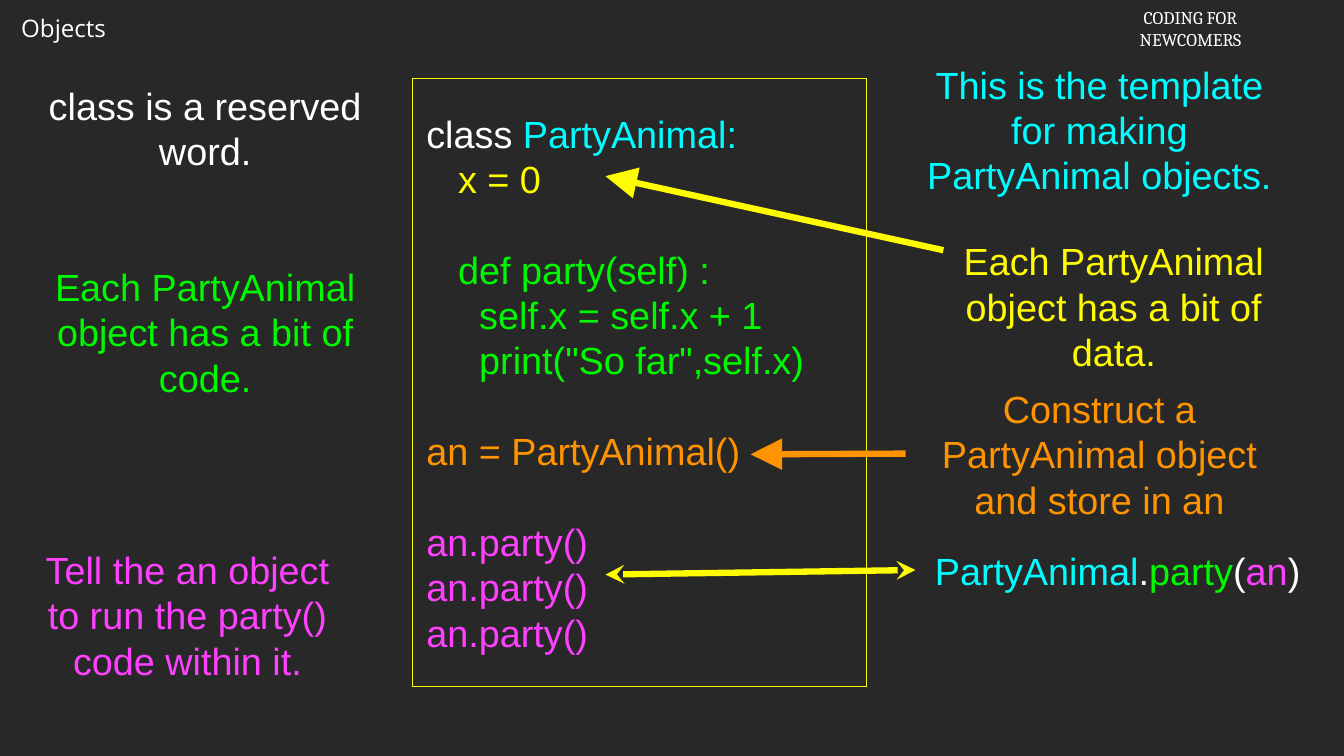
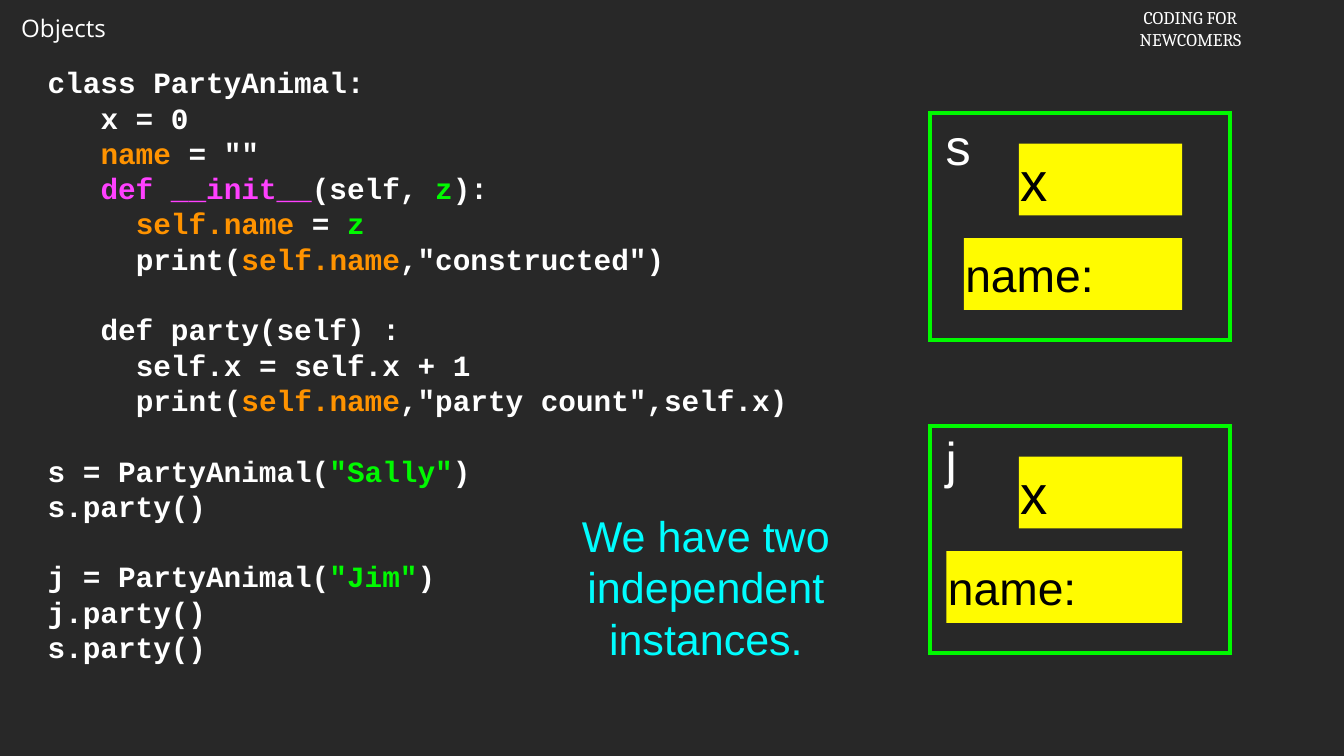
from lxml.etree import SubElement
from pptx import Presentation
from pptx.dml.color import RGBColor
from pptx.enum.shapes import MSO_CONNECTOR, MSO_SHAPE
from pptx.enum.text import MSO_ANCHOR, MSO_AUTO_SIZE, PP_ALIGN
from pptx.oxml.ns import qn
from pptx.util import Inches, Pt

BACKGROUND = "282828"
WHITE = "FFFFFF"
BLACK = "000000"
CYAN = "00FDFF"
YELLOW = "FFFB00"
GREEN = "00F900"
ORANGE = "FF9300"
MAGENTA = "FF40FF"

# Each code line is (indent in characters, (text, colour), ...); BLANK leaves a gap.
BLANK = ()
BLANK_HEIGHT = 1.2
TEMPLATE_CODE = [
    (1, ("class ", WHITE), ("PartyAnimal:", CYAN)),
    (4, ("x = 0", YELLOW)),
    BLANK,
    (4, ("def party(self) :", GREEN)),
    (6, ("self.x = self.x + 1", GREEN)),
    (6, ('print("So far",self.x)', GREEN)),
    BLANK,
    (1, ("an = PartyAnimal()", ORANGE)),
    BLANK,
    (1, ("an.party()", MAGENTA)),
    (1, ("an.party()", MAGENTA)),
    (1, ("an.party()", MAGENTA)),
]
CONSTRUCTOR_CODE = [
    (0, ("class PartyAnimal:", WHITE)),
    (3, ("x = 0", WHITE)),
    (3, ("name", ORANGE), (' = ""', WHITE)),
    (3, ("def __init__", MAGENTA), ("(self, ", WHITE), ("z", GREEN), ("):", WHITE)),
    (5, ("self.name", ORANGE), (" = ", WHITE), ("z", GREEN)),
    (5, ("print(", WHITE), ("self.name", ORANGE), (',"constructed")', WHITE)),
    BLANK,
    (3, ("def party(self) :", WHITE)),
    (5, ("self.x = self.x + 1", WHITE)),
    (5, ("print(", WHITE), ("self.name", ORANGE), (',"party count",self.x)', WHITE)),
    BLANK,
    (0, ("s = PartyAnimal(", WHITE), ('"Sally"', GREEN), (")", WHITE)),
    (0, ("s.party()", WHITE)),
    BLANK,
    (0, ("j = PartyAnimal(", WHITE), ('"Jim"', GREEN), (")", WHITE)),
    (0, ("j.party()", WHITE)),
    (0, ("s.party()", WHITE)),
]
NOTES = [
    ((11.98, 0.7, 5.13, 2.02), "This is the template for making PartyAnimal objects.", CYAN),
    ((0.15, 1.04, 5.13, 1.3), "class is a reserved word.", WHITE),
    ((12.17, 3.1, 5.13, 1.9), "Each PartyAnimal object has a bit of data.", YELLOW),
    ((0.15, 3.44, 5.13, 1.9), "Each PartyAnimal object has a bit of code.", GREEN),
    ((11.98, 5.13, 5.13, 1.74), "Construct a PartyAnimal object and store in an", ORANGE),
    ((0.49, 7.18, 3.98, 1.9), "Tell the an object to run the party() code within it.", MAGENTA),
]


def color(hex_string):
    return RGBColor.from_string(hex_string)


def inches(box):
    return [Inches(length) for length in box]


def set_frame(shape, inset, anchor=MSO_ANCHOR.MIDDLE):
    frame = shape.text_frame
    frame.word_wrap = True
    frame.auto_size = MSO_AUTO_SIZE.NONE
    frame.vertical_anchor = anchor
    frame.margin_left = frame.margin_right = Inches(inset)
    frame.margin_top = frame.margin_bottom = Inches(inset)
    return frame


def add_spans(paragraph, spans, size, font="Arial", bold=False):
    for text, hex_string in spans:
        run = paragraph.add_run()
        run.text = text
        run.font.name = font
        run.font.size = Pt(size)
        run.font.bold = bold
        run.font.color.rgb = color(hex_string)


def set_indent(paragraph, width):
    properties = paragraph._p.get_or_add_pPr()
    properties.set("marL", str(Inches(width)))
    properties.set("indent", "0")


def write_code(shape, lines, size, font, character_width, bold=False):
    """Fill a shape with coloured code; character_width is a share of the font size."""
    frame = set_frame(shape, 0.04)
    paragraph = frame.paragraphs[0]
    gap = False
    for number, line in enumerate(lines):
        if line == BLANK:
            gap = True
            continue
        if number:
            paragraph = frame.add_paragraph()
        indent, *spans = line
        paragraph.alignment = PP_ALIGN.LEFT
        set_indent(paragraph, indent * character_width * size / 72)
        if gap:
            paragraph.space_before = Pt(size * BLANK_HEIGHT)
        add_spans(paragraph, spans, size, font, bold)
        gap = False


def add_note(slide, box, spans, size=36):
    note = slide.shapes.add_textbox(*inches(box))
    paragraph = set_frame(note, 0.04).paragraphs[0]
    paragraph.alignment = PP_ALIGN.CENTER
    add_spans(paragraph, spans, size)


def add_box(shapes, box, fill=None, line=None, line_width=1):
    shape = shapes.add_shape(MSO_SHAPE.RECTANGLE, *inches(box))
    shape.shadow.inherit = False
    if fill:
        shape.fill.solid()
        shape.fill.fore_color.rgb = color(fill)
    else:
        shape.fill.background()
    if line:
        shape.line.color.rgb = color(line)
        shape.line.width = Pt(line_width)
        SubElement(shape._element.spPr.find(qn("a:ln")), qn("a:miter"), lim="800000")
    else:
        shape.line.fill.background()
    return shape


def add_arrow(slide, start, end, hex_string, head, tail="none", head_size="med"):
    arrow = slide.shapes.add_connector(MSO_CONNECTOR.STRAIGHT, *inches(start + end))
    arrow.line.color.rgb = color(hex_string)
    arrow.line.width = Pt(6)
    properties = arrow._element.spPr
    outline = properties.find(qn("a:ln"))
    for tag, kind in (("a:headEnd", head), ("a:tailEnd", tail)):
        SubElement(outline, qn(tag), type=kind, w=head_size, len=head_size)
    SubElement(properties, qn("a:effectLst"))


def add_header(slide):
    title = slide.shapes.title
    title.left, title.top, title.width, title.height = inches((0.18, 0.12, 1.39, 0.49))
    course = slide.shapes.add_textbox(*inches((14.88, 0.04, 1.74, 0.67)))
    for shape, text, font, size, alignment in (
        (title, "Objects", "Open Sans", 23, PP_ALIGN.LEFT),
        (course, "CODING FOR\nNEWCOMERS", "Cambria", 17, PP_ALIGN.CENTER),
    ):
        frame = set_frame(shape, 0.05)
        frame.margin_left = frame.margin_right = Inches(0.1)
        frame.word_wrap = False
        frame.text = text
        for paragraph in frame.paragraphs:
            paragraph.alignment = alignment
            run_font = paragraph.runs[0].font
            run_font.name = font
            run_font.size = Pt(size)
            run_font.color.rgb = color(WHITE)


def add_instance(slide, left, top, variable, name_offset):
    """Draw one object with its data; name_offset is where the name field starts."""
    shapes = slide.shapes.add_group_shape().shapes
    right_edge = 3.34
    parts = [
        ((0, 0, 3.97, 3), variable, 48, None, GREEN, WHITE),
        ((1.18, 0.4, right_edge - 1.18, 0.95), "x", 52, YELLOW, None, BLACK),
        ((name_offset, 1.65, right_edge - name_offset, 0.95), "name:", 44, YELLOW, None, BLACK),
    ]
    for (x, y, width, height), text, size, fill, line, text_color in parts:
        shape = add_box(shapes, (left + x, top + y, width, height), fill, line, 4)
        is_frame = fill is None
        frame = set_frame(shape, 0.02, MSO_ANCHOR.TOP if is_frame else MSO_ANCHOR.MIDDLE)
        paragraph = frame.paragraphs[0]
        paragraph.alignment = PP_ALIGN.LEFT
        if is_frame:
            set_indent(paragraph, 0.19)
        add_spans(paragraph, [(text, text_color)], size)


def add_slide(presentation):
    slide = presentation.slides.add_slide(presentation.slide_layouts.get_by_name("Title Only"))
    add_header(slide)
    return slide


def build_template_slide(presentation):
    slide = add_slide(presentation)
    code_box = add_box(slide.shapes, (5.46, 1.04, 6, 8.04), line=YELLOW)
    write_code(code_box, TEMPLATE_CODE, 36, "Arial", 0.28)
    for box, text, hex_string in NOTES:
        add_note(slide, box, [(text, hex_string)])
    call = [("PartyAnimal", CYAN), (".", WHITE), ("party", GREEN),
            ("(", WHITE), ("an", MAGENTA), (")", WHITE)]
    add_note(slide, (12.11, 7.18, 5.35, 0.72), call)
    add_arrow(slide, (8.01, 2.33), (12.48, 3.31), YELLOW, "triangle", head_size="lg")
    add_arrow(slide, (8.01, 7.6), (12.11, 7.54), YELLOW, "stealth", "stealth")
    add_arrow(slide, (9.93, 6.01), (11.98, 6), ORANGE, "triangle", head_size="lg")


def build_instances_slide(presentation):
    slide = add_slide(presentation)
    code = slide.shapes.add_textbox(*inches((0.59, 0.33, 10.96, 8.98)))
    write_code(code, CONSTRUCTOR_CODE, 28, "Courier New", 0.6, bold=True)
    add_instance(slide, 12.3, 1.5, "s", 0.45)
    add_instance(slide, 12.3, 5.64, "j", 0.22)
    add_note(slide, (6.98, 6.75, 4.72, 2.02), [("We have two independent instances.", CYAN)], 41)


def main():
    presentation = Presentation()
    presentation.slide_width = Inches(17.78)
    presentation.slide_height = Inches(10)
    background = presentation.slide_master.background.fill
    background.solid()
    background.fore_color.rgb = color(BACKGROUND)
    build_template_slide(presentation)
    build_instances_slide(presentation)
    presentation.save("out.pptx")


if __name__ == "__main__":
    main()
